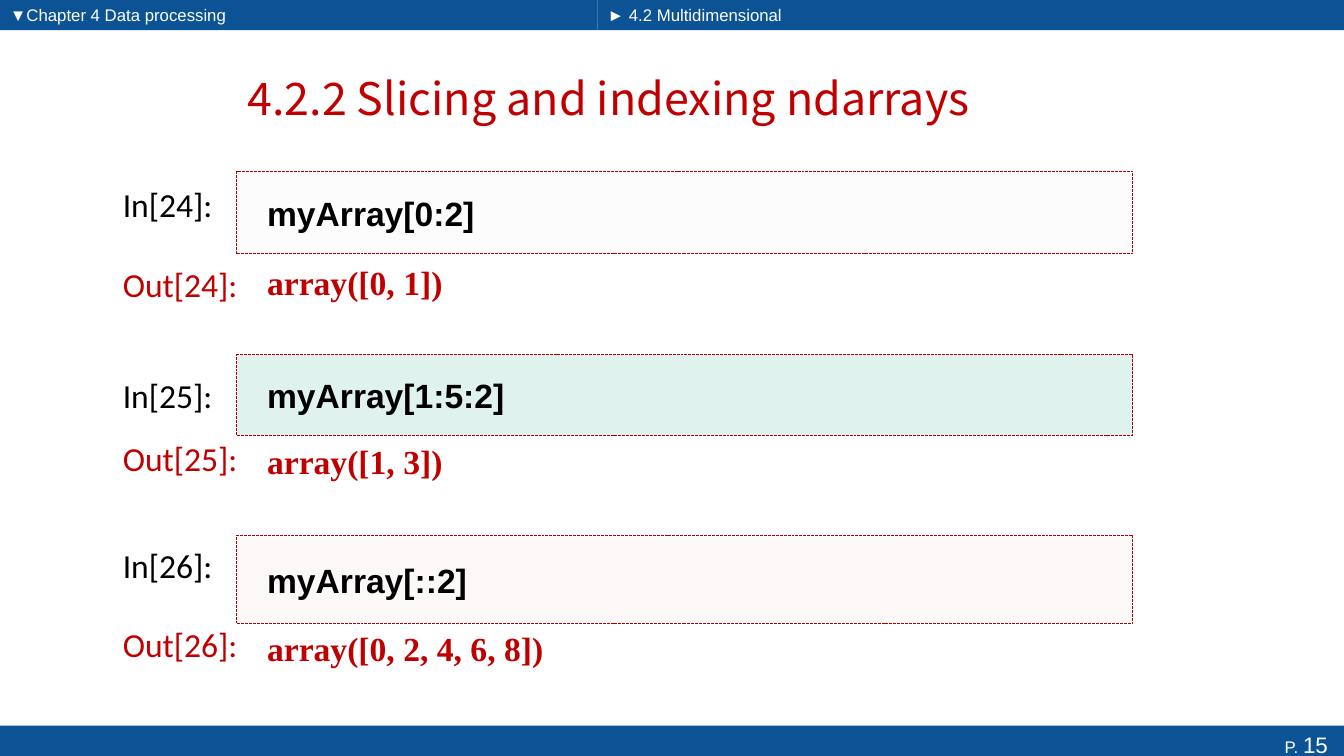
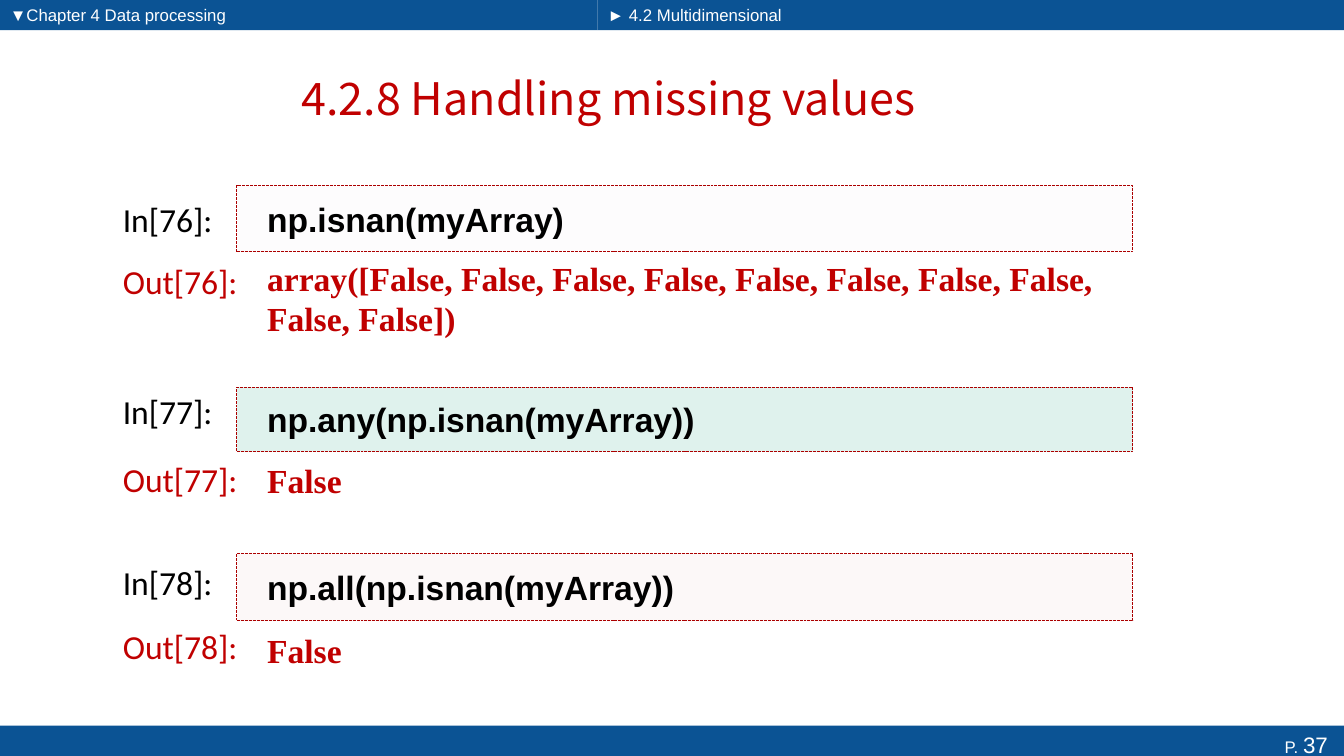
from dataclasses import dataclass

import lxml.etree
import pptx
import pptx.dml.color
import pptx.enum.dml
import pptx.enum.shapes
import pptx.enum.text
import pptx.oxml.ns
import pptx.presentation
import pptx.shapes.autoshape
import pptx.shapes.base
import pptx.slide
import pptx.text.text
import pptx.util

RGBColor = pptx.dml.color.RGBColor
Anchor = pptx.enum.text.MSO_ANCHOR
Align = pptx.enum.text.PP_ALIGN

BAND_BLUE = RGBColor(0x0B, 0x53, 0x94)
WHITE = RGBColor(0xFF, 0xFF, 0xFF)
BLACK = RGBColor(0x00, 0x00, 0x00)
RED = RGBColor(0xC0, 0x00, 0x00)
BORDER_RED = RGBColor(0xAB, 0x00, 0x00)
CODE_FILLS = (
    RGBColor(0xF1, 0xEE, 0xF4),
    RGBColor(0x0C, 0x9B, 0x74),
    RGBColor(0xED, 0xCD, 0xCB),
)
CODE_OPACITY = "13000"

GRID_STEP = 0.1
COLUMNS = 133.33
ROWS = 75
BAND_ROWS = 3
BAND_SPLIT = 59.3
LABEL_COLUMN = 11.2
LABEL_COLUMNS = 15.4
LABEL_ROWS = 5
CODE_COLUMN = 23.5
CODE_COLUMNS = 88.9
RESULT_COLUMNS = 87.4
RESULT_ROWS = 6.5


@dataclass(frozen=True)
class Area:
    column: float
    row: float
    columns: float
    rows: float

    def lengths(self) -> tuple[int, ...]:
        return tuple(
            pptx.util.Inches(GRID_STEP * steps)
            for steps in (self.column, self.row, self.columns, self.rows)
        )


@dataclass(frozen=True)
class Style:
    font: str
    size: int
    color: RGBColor
    bold: bool = False
    anchor: Anchor = Anchor.TOP
    align: Align = Align.LEFT
    left_inset: float = 0.1
    right_inset: float = 0.1


@dataclass(frozen=True)
class Cell:
    number: int
    code: str
    result: str
    code_row: float
    code_rows: float
    input_row: float
    output_row: float
    result_row: float


@dataclass(frozen=True)
class Page:
    number: int
    title: str
    cells: tuple[Cell, ...]


TITLE_STYLE = Style("Noto Sans CJK SC", 32, RED, anchor=Anchor.MIDDLE, align=Align.CENTER)
HEADER_STYLE = Style("Arial", 12, WHITE)
FOOTER_STYLE = Style("Arial", 12, WHITE, align=Align.RIGHT, right_inset=0.16)
INPUT_STYLE = Style("Calibri", 24, BLACK)
OUTPUT_STYLE = Style("Calibri", 24, RED)
CODE_STYLE = Style("Arial", 24, BLACK, True, Anchor.MIDDLE, left_inset=0.3)
RESULT_STYLE = Style("Times New Roman", 24, RED, True, Anchor.MIDDLE, left_inset=0.3)

PAGES = (
    Page(15, "4.2.2 Slicing and indexing ndarrays", (
        Cell(24, "myArray[0:2]", "array([0, 1])", 17, 8.2, 17.8, 25.7, 24.7),
        Cell(25, "myArray[1:5:2]", "array([1, 3])", 35.2, 8, 36.7, 43, 42.5),
        Cell(26, "myArray[::2]", "array([0, 2, 4, 6, 8])", 53.1, 8.8, 53.6, 61.4, 61),
    )),
    Page(37, "4.2.8 Handling missing values", (
        Cell(76, "np.isnan(myArray)", f"array([{', '.join(['False'] * 10)}])",
             18.4, 6.6, 19.2, 25.4, 26.3),
        Cell(77, "np.any(np.isnan(myArray))", "False", 38.4, 6.4, 38.3, 45, 44.4),
        Cell(78, "np.all(np.isnan(myArray))", "False", 54.9, 6.7, 55.3, 61.6, 61.2),
    )),
)


def write(shape: pptx.shapes.base.BaseShape, text: str, style: Style) -> pptx.text.text._Paragraph:
    frame = shape.text_frame
    frame.text = text
    frame.word_wrap = True
    frame.auto_size = pptx.enum.text.MSO_AUTO_SIZE.NONE
    frame.vertical_anchor = style.anchor
    frame.margin_left = pptx.util.Inches(style.left_inset)
    frame.margin_right = pptx.util.Inches(style.right_inset)
    paragraph = frame.paragraphs[0]
    paragraph.alignment = style.align
    paragraph.font.name = style.font
    paragraph.font.size = pptx.util.Pt(style.size)
    paragraph.font.bold = style.bold
    paragraph.font.color.rgb = style.color
    return paragraph


def add_text(slide: pptx.slide.Slide, area: Area, text: str, style: Style) -> None:
    write(slide.shapes.add_textbox(*area.lengths()), text, style)


def add_rectangle(
    slide: pptx.slide.Slide, area: Area, fill: RGBColor
) -> pptx.shapes.autoshape.Shape:
    rectangle = slide.shapes.add_shape(
        pptx.enum.shapes.MSO_SHAPE.RECTANGLE, *area.lengths()
    )
    rectangle.shadow.inherit = False
    rectangle.fill.solid()
    rectangle.fill.fore_color.rgb = fill
    rectangle.line.fill.background()
    return rectangle


def add_bands(slide: pptx.slide.Slide, page_number: int) -> None:
    chapter = add_rectangle(slide, Area(0, 0, BAND_SPLIT, BAND_ROWS), BAND_BLUE)
    write(chapter, "▼Chapter 4 Data processing", HEADER_STYLE)
    section = add_rectangle(
        slide, Area(BAND_SPLIT, 0, COLUMNS - BAND_SPLIT, BAND_ROWS), BAND_BLUE
    )
    write(section, "► 4.2 Multidimensional", HEADER_STYLE)
    footer = add_rectangle(slide, Area(0, ROWS - BAND_ROWS, COLUMNS, BAND_ROWS), BAND_BLUE)
    paragraph = write(footer, "P. ", FOOTER_STYLE)
    number = paragraph.add_run()
    number.text = str(page_number)
    number.font.size = pptx.util.Pt(16)


def add_title(slide: pptx.slide.Slide, text: str) -> None:
    title = slide.shapes.title
    title.left, title.top, title.width, title.height = Area(6.8, 5.2, 107.2, 9).lengths()
    write(title, text, TITLE_STYLE)


def add_code_box(slide: pptx.slide.Slide, cell: Cell, fill: RGBColor) -> None:
    area = Area(CODE_COLUMN, cell.code_row, CODE_COLUMNS, cell.code_rows)
    box = add_rectangle(slide, area, fill)
    fill_color = box.element.spPr.find(pptx.oxml.ns.qn("a:solidFill"))[0]
    lxml.etree.SubElement(fill_color, pptx.oxml.ns.qn("a:alpha"), val=CODE_OPACITY)
    box.line.color.rgb = BORDER_RED
    box.line.width = pptx.util.Pt(0.7)
    box.line.dash_style = pptx.enum.dml.MSO_LINE.SQUARE_DOT
    write(box, cell.code, CODE_STYLE)


def add_cell(slide: pptx.slide.Slide, cell: Cell, fill: RGBColor) -> None:
    add_code_box(slide, cell, fill)
    for word, row, style in (
        ("In", cell.input_row, INPUT_STYLE),
        ("Out", cell.output_row, OUTPUT_STYLE),
    ):
        area = Area(LABEL_COLUMN, row, LABEL_COLUMNS, LABEL_ROWS)
        add_text(slide, area, f"{word}[{cell.number}]:", style)
    result_area = Area(CODE_COLUMN, cell.result_row, RESULT_COLUMNS, RESULT_ROWS)
    add_text(slide, result_area, cell.result, RESULT_STYLE)


def add_page(presentation: pptx.presentation.Presentation, page: Page) -> None:
    layout = presentation.slide_layouts.get_by_name("Title Only")
    slide = presentation.slides.add_slide(layout)
    add_bands(slide, page.number)
    add_title(slide, page.title)
    for cell, fill in zip(page.cells, CODE_FILLS):
        add_cell(slide, cell, fill)


def main() -> None:
    presentation = pptx.Presentation()
    presentation.slide_width = pptx.util.Inches(COLUMNS * GRID_STEP)
    presentation.slide_height = pptx.util.Inches(ROWS * GRID_STEP)
    for page in PAGES:
        add_page(presentation, page)
    presentation.save("out.pptx")


if __name__ == "__main__":
    main()
